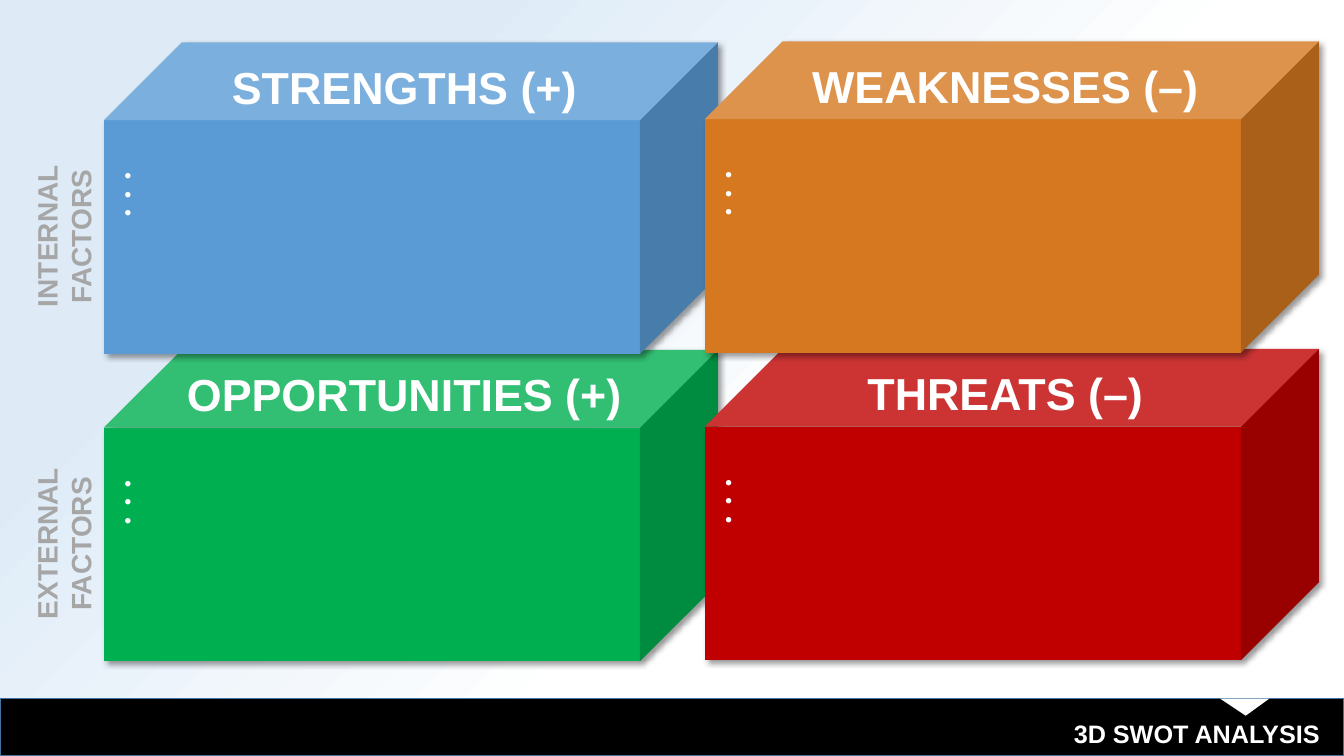
from dataclasses import dataclass

from pptx import Presentation
from pptx.dml.color import RGBColor
from pptx.enum.shapes import MSO_SHAPE as Preset
from pptx.enum.text import MSO_ANCHOR as Anchor, MSO_AUTO_SIZE as AutoSize, PP_ALIGN as Align
from pptx.oxml import parse_xml
from pptx.oxml.ns import nsdecls, qn
from pptx.shapes.autoshape import Shape
from pptx.slide import Slide
from pptx.util import Inches, Pt

SLIDE_WIDTH, SLIDE_HEIGHT = 13.33, 7.5
GRID_LEFT, GRID_TOP = 1.03, 0.42
COLUMN_PITCH, ROW_PITCH = 5.96, 3.05
RIGHT_COLUMN_LIFT = 0.01
CUBE_WIDTH, CUBE_HEIGHT = 6.09, 3.09
HEADING_INDENT = 0.74
BAR_TOP = 6.93
WHITE = "FFFFFF"


@dataclass(frozen=True)
class Box:
    left: float
    top: float
    width: float
    height: float


@dataclass(frozen=True)
class Quadrant:
    heading: str
    color: str
    column: int
    row: int
    list_index: int

    def box(self) -> Box:
        return Box(GRID_LEFT + self.column * COLUMN_PITCH,
                   GRID_TOP + self.row * ROW_PITCH - self.column * RIGHT_COLUMN_LIFT,
                   CUBE_WIDTH, CUBE_HEIGHT)


# Back to front: the upper cubes overlap the lower ones
QUADRANTS = [
    Quadrant("OPPORTUNITIES (+)", "00B050", 0, 1, 1),
    Quadrant("THREATS (–)", "C00000", 1, 1, 2),
    Quadrant("STRENGTHS (+)", "5B9BD5", 0, 0, 3),
    Quadrant("WEAKNESSES (–)", "D57820", 1, 0, 4),
]
FACTORS = ["INTERNAL FACTORS", "EXTERNAL FACTORS"]


def rgb(color: str) -> RGBColor:
    return RGBColor.from_string(color)


def place(shape: Shape, box: Box) -> None:
    shape.left, shape.top = Inches(box.left), Inches(box.top)
    shape.width, shape.height = Inches(box.width), Inches(box.height)


def add_preset(slide: Slide, preset: Preset, box: Box, color: str) -> Shape:
    shape = slide.shapes.add_shape(preset, 0, 0, 0, 0)
    place(shape, box)
    shape.shadow.inherit = False
    shape.fill.solid()
    shape.fill.fore_color.rgb = rgb(color)
    shape.line.fill.background()
    return shape


def write(shape: Shape, box: Box, lines: list[str], size: int, color: str = WHITE,
          align: Align = Align.CENTER, font: str = "Arial", bold: bool = True) -> None:
    place(shape, box)
    frame = shape.text_frame
    frame.text = "\n".join(lines)
    frame.word_wrap = True
    frame.auto_size = AutoSize.SHAPE_TO_FIT_TEXT
    frame.vertical_anchor = Anchor.TOP
    for paragraph in frame.paragraphs:
        paragraph.alignment = align
        paragraph.space_before = Pt(0)
        paragraph.font.name = font
        paragraph.font.size = Pt(size)
        paragraph.font.bold = bold
        paragraph.font.color.rgb = rgb(color)


def add_text(slide: Slide, box: Box, text: str, size: int, color: str = WHITE) -> Shape:
    shape = slide.shapes.add_textbox(0, 0, 0, 0)
    write(shape, box, [text], size, color)
    return shape


def bring_to_front(shape: Shape) -> None:
    shape.element.getparent().append(shape.element)


def add_drop_shadow(shape: Shape) -> None:
    effects = shape.element.spPr.find(qn("a:effectLst"))
    effects.append(parse_xml(
        f'<a:outerShdw {nsdecls("a")} blurRad="{Pt(4)}" dist="{Pt(3)}" dir="2700000" '
        'algn="tl" rotWithShape="0"><a:srgbClr val="000000">'
        '<a:alpha val="40000"/></a:srgbClr></a:outerShdw>'))


def set_background(slide: Slide) -> None:
    slide.element.find(qn("p:cSld")).insert(0, parse_xml(
        f'<p:bg {nsdecls("p", "a")}><p:bgPr><a:gradFill rotWithShape="1"><a:gsLst>'
        '<a:gs pos="40000"><a:srgbClr val="FFFFFF"/></a:gs>'
        '<a:gs pos="77000"><a:srgbClr val="DEEBF7"/></a:gs></a:gsLst>'
        '<a:path path="circle"><a:fillToRect l="100000" t="100000"/></a:path>'
        '</a:gradFill><a:effectLst/></p:bgPr></p:bg>'))


def add_title_bar(slide: Slide) -> None:
    bar = add_preset(slide, Preset.RECTANGLE,
                     Box(0, BAR_TOP, SLIDE_WIDTH, SLIDE_HEIGHT - BAR_TOP), "000000")
    bar.line.color.rgb = rgb("43739E")
    bar.line.width = Pt(1)
    notch = add_preset(slide, Preset.ISOSCELES_TRIANGLE, Box(12.1, BAR_TOP, 0.49, 0.17), WHITE)
    notch.adjustments[0] = 0.48
    notch.rotation = 180
    title = slide.shapes.title
    write(title, Box(6.41, 7.08, 6.78, 0.4), ["3D SWOT ANALYSIS"], 18, align=Align.RIGHT)
    bring_to_front(title)


def add_quadrant(slide: Slide, quadrant: Quadrant) -> None:
    box = quadrant.box()
    add_drop_shadow(add_preset(slide, Preset.CUBE, box, quadrant.color))
    heading = add_text(slide, Box(box.left, box.top + 0.12, 5.32, 0.64), quadrant.heading, 32)
    heading.text_frame.margin_left = Inches(HEADING_INDENT)

    # Bullet list, with the bullets as characters since the items are blank
    items = slide.placeholders[quadrant.list_index]
    write(items, Box(box.left + 0.1, box.top + 1.17, 5.07, 0.66), ["•"] * 3, 11,
          align=Align.LEFT, font="Calibri", bold=False)
    for paragraph in items.text_frame.paragraphs:
        properties = paragraph._p.get_or_add_pPr()
        properties.set("marL", "0")
        properties.set("indent", "0")
        properties.find(qn("a:spcBef")).addnext(parse_xml(f'<a:buNone {nsdecls("a")}/>'))
    bring_to_front(items)


def main() -> None:
    presentation = Presentation()
    presentation.slide_width = Inches(SLIDE_WIDTH)
    presentation.slide_height = Inches(SLIDE_HEIGHT)
    comparison_layout = presentation.slide_layouts[4]
    slide = presentation.slides.add_slide(comparison_layout)

    set_background(slide)
    add_title_bar(slide)
    for quadrant in QUADRANTS:
        add_quadrant(slide, quadrant)

    # Row labels, read upwards
    for row, factor in enumerate(FACTORS):
        label = add_text(slide, Box(-0.54, 1.96 + row * ROW_PITCH, 2.34, 0.77),
                         factor, 20, "A6A6A6")
        label.rotation = 270

    presentation.save("out.pptx")


if __name__ == "__main__":
    main()
